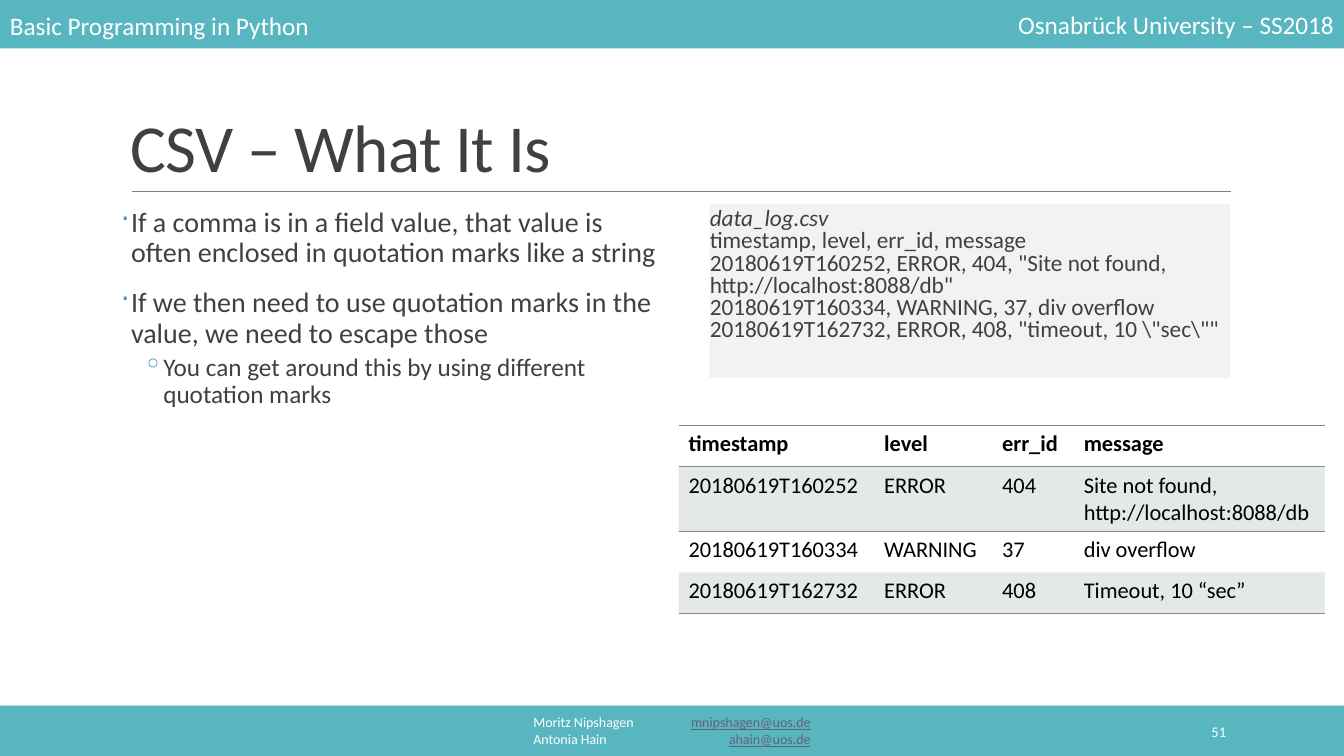
import pptx
import pptx.util
import pptx.dml.color
import pptx.enum.shapes
import pptx.enum.text
import pptx.oxml.ns
import lxml.etree

Inches, Pt = pptx.util.Inches, pptx.util.Pt
Align, Anchor = pptx.enum.text.PP_ALIGN, pptx.enum.text.MSO_ANCHOR
Shape = pptx.enum.shapes.MSO_SHAPE
TEAL, WHITE, INK, SLATE = "58B6C0", "FFFFFF", "404040", "7A8C8E"


def paint(color, value):
    color.rgb = pptx.dml.color.RGBColor.from_string(value)


def add(parent, tag, **attrs):
    return lxml.etree.SubElement(parent, pptx.oxml.ns.qn(tag), attrs)


deck = pptx.Presentation()
deck.slide_width, deck.slide_height = Inches(13.33), Inches(7.5)
slide = deck.slides.add_slide(deck.slide_layouts[6])
shapes = slide.shapes

# Bands at top and bottom, and the code panel
panels = []
for left, top, width, height, fill in [
    (0, 0, 13.33, 0.48, TEAL),
    (0, 7, 13.33, 0.5, TEAL),
    (7.04, 2.02, 5.16, 1.73, "F2F2F2"),
]:
    panel = shapes.add_shape(
        Shape.RECTANGLE, Inches(left), Inches(top), Inches(width), Inches(height))
    panel.shadow.inherit = False
    panel.fill.solid()
    paint(panel.fill.fore_color, fill)
    panel.line.fill.background()
    panels.append(panel)

# Rule under the title
rule = shapes.add_connector(
    pptx.enum.shapes.MSO_CONNECTOR.STRAIGHT,
    Inches(1.31), Inches(1.9), Inches(12.21), Inches(1.9))
paint(rule.line.color, "808080")
rule.line.width = Pt(0.5)
add(rule._element.spPr, "a:effectLst")

# Single lines: title, header and page number
for text, left, top, width, height, size, color, align, anchor in [
    ("CSV – What It Is", 1.2, 1.08, 11, 0.82, 48, INK, Align.LEFT, Anchor.BOTTOM),
    ("Basic Programming in Python", 0, 0.05, 5.27, 0.4, 18, WHITE, Align.LEFT, Anchor.MIDDLE),
    ("Osnabrück University – SS2018", 8.06, 0.04, 5.27, 0.4, 18, WHITE, Align.RIGHT, Anchor.MIDDLE),
    ("51", 10.83, 7.06, 1.43, 0.4, 10.5, WHITE, Align.RIGHT, Anchor.MIDDLE),
]:
    box = shapes.add_textbox(Inches(left), Inches(top), Inches(width), Inches(height))
    frame = box.text_frame
    frame.word_wrap = True
    frame.vertical_anchor = anchor
    para = frame.paragraphs[0]
    para.text = text
    para.alignment = align
    para.font.name, para.font.size = "Calibri", Pt(size)
    paint(para.font.color, color)
    if size == 48:
        para.line_spacing = 0.85
        para.runs[0]._r.get_or_add_rPr().set("spc", "-50")

# Authors in the footer
foot = shapes.add_textbox(Inches(4.03), Inches(7.05), Inches(5.27), Inches(0.4)).text_frame
foot.word_wrap = True
foot.vertical_anchor = Anchor.MIDDLE
for i, (name, mail) in enumerate([
    ("Moritz Nipshagen", "mnipshagen@uos.de"),
    ("Antonia Hain", "ahain@uos.de"),
]):
    para = foot.add_paragraph() if i else foot.paragraphs[0]
    para.alignment = Align.CENTER
    tabs = add(para._p.get_or_add_pPr(), "a:tabLst")
    add(tabs, "a:tab", pos=str(Inches(2.75)), algn="r")
    para.font.name, para.font.size = "Calibri", Pt(10)
    for text, color in [(name + "\t", WHITE), (mail, "636378")]:
        run = para.add_run()
        run.text = text
        paint(run.font.color, color)
        run.font.underline = text == mail

# Bullets
body = shapes.add_textbox(Inches(1.2), Inches(2.02), Inches(5.4), Inches(4.4)).text_frame
body.word_wrap = True
body.margin_left = body.margin_right = 0
for i, (text, level) in enumerate([
    ("If a comma is in a field value, that value is often enclosed in quotation marks like a string", 0),
    ("If we then need to use quotation marks in the value, we need to escape those", 0),
    ("You can get around this by using different quotation marks", 1),
]):
    mark, margin, indent, size, before, after = [
        ("·", 0.1, -0.1, 20, 12, 2), ("◦", 0.42, -0.2, 18, 2, 4)][level]
    para = body.add_paragraph() if i else body.paragraphs[0]
    para.text = text
    para.level = level
    props = para._p.get_or_add_pPr()
    props.set("marL", str(Inches(margin)))
    props.set("indent", str(Inches(indent)))
    add(add(props, "a:buClr"), "a:srgbClr", val="3494BA")
    add(props, "a:buChar", char=mark)
    para.line_spacing = 0.9
    para.space_before = Pt(before if i else 0)
    para.space_after = Pt(after)
    para.font.name, para.font.size = "Calibri", Pt(size)
    paint(para.font.color, INK)

# File listing in the code panel
code = panels[2].text_frame
code.word_wrap = True
code.vertical_anchor = Anchor.TOP
code.margin_left = code.margin_right = 0
for i, text in enumerate([
    "data_log.csv",
    "timestamp, level, err_id, message",
    '20180619T160252, ERROR, 404, "Site not found, http://localhost:8088/db"',
    "20180619T160334, WARNING, 37, div overflow",
    r'20180619T162732, ERROR, 408, "timeout, 10 \"sec\""',
]):
    para = code.add_paragraph() if i else code.paragraphs[0]
    para.text = text
    para.alignment = Align.LEFT
    para.line_spacing = 0.8
    para.font.name, para.font.size = "Calibri", Pt(16.6)
    para.font.italic = i == 0
    paint(para.font.color, INK)

# Table of the parsed log
rows = [
    ("timestamp", "level", "err_id", "message"),
    ("20180619T160252", "ERROR", "404", "Site not found,\vhttp://localhost:8088/db"),
    ("20180619T160334", "WARNING", "37", "div overflow"),
    ("20180619T162732", "ERROR", "408", "Timeout, 10 “sec”"),
]
table = shapes.add_table(
    4, 4, Inches(6.73), Inches(4.22), Inches(6.41), Inches(1.87)).table
table.first_row = table.horz_banding = False
table._tbl.tblPr[0].text = "{2D5ABB26-0587-4C30-8999-92F81FD0307C}"  # no style
for col, width in zip(table.columns, [1.94, 1.17, 0.81, 2.49]):
    col.width = Inches(width)
edges = {0: ["a:lnT", "a:lnB"], 1: ["a:lnT"], 3: ["a:lnB"]}
for i, row in enumerate(rows):
    table.rows[i].height = Inches(0.64 if i == 1 else 0.41)
    for j, text in enumerate(row):
        cell = table.cell(i, j)
        props = cell._tc.get_or_add_tcPr()
        for edge in edges.get(i, []):
            line = add(props, edge, w=str(Pt(1)))
            add(add(line, "a:solidFill"), "a:srgbClr", val=SLATE)
        if i % 2:
            cell.fill.solid()
            paint(cell.fill.fore_color, SLATE)
            shade = props.find(pptx.oxml.ns.qn("a:solidFill"))
            add(shade[0], "a:alpha", val="20000")
        else:
            cell.fill.background()
        para = cell.text_frame.paragraphs[0]
        para.text = text
        para.font.name, para.font.size = "Calibri", Pt(16)
        para.font.bold = i == 0
        paint(para.font.color, "000000")

deck.save("out.pptx")
